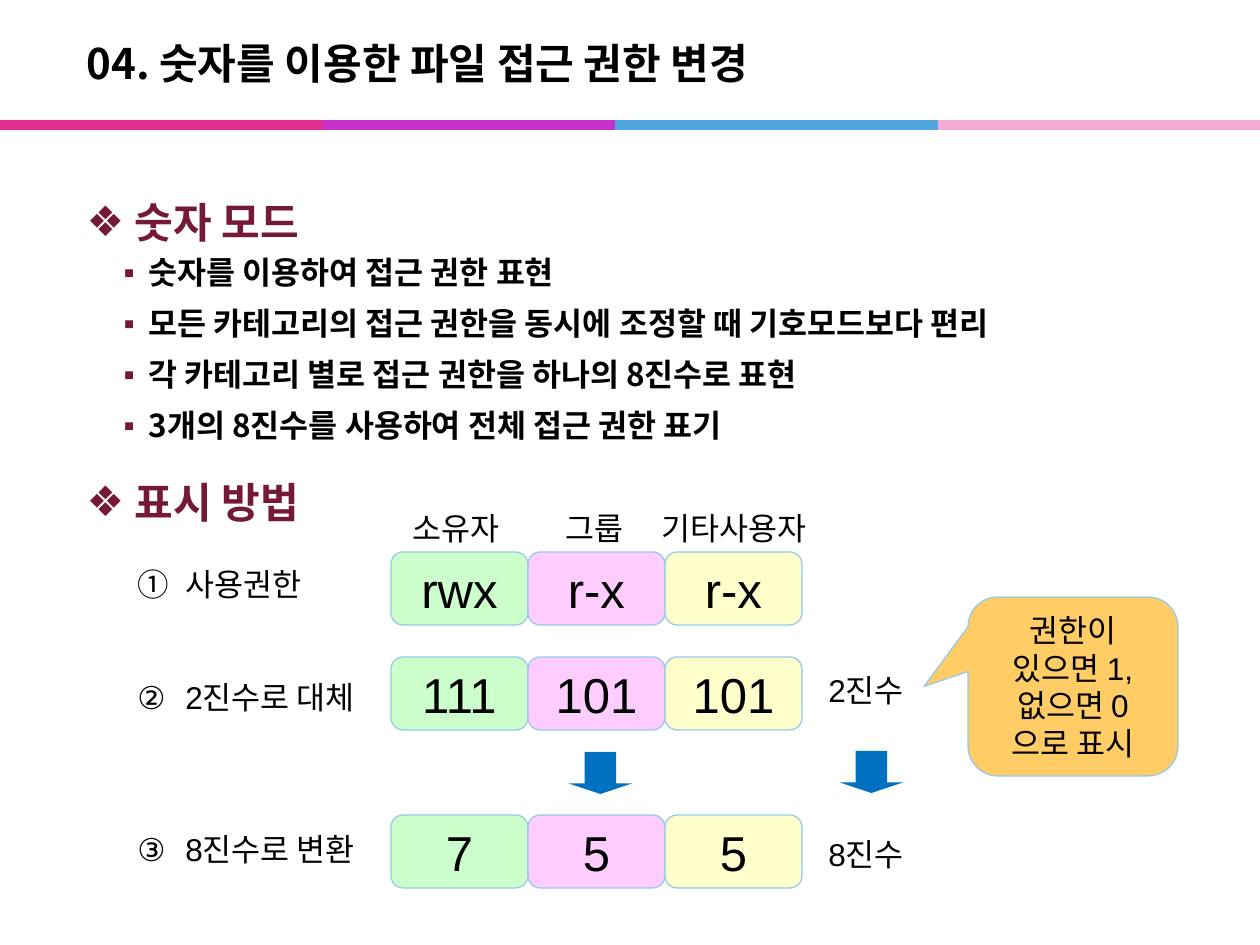
"""Builds a slide that explains numeric file permission modes."""
from lxml.etree import SubElement
from pptx import Presentation
from pptx.dml.color import RGBColor
from pptx.enum.shapes import MSO_CONNECTOR as Connector, MSO_SHAPE as Shape
from pptx.enum.text import MSO_ANCHOR as Anchor, MSO_AUTO_SIZE as AutoSize, PP_ALIGN as Align
from pptx.oxml.ns import qn
from pptx.util import Emu, Pt

SANS = "Arial"
KOREAN = "Noto Sans CJK KR"
BLACK = RGBColor(0x00, 0x00, 0x00)
WINE = RGBColor(0x74, 0x1A, 0x36)
GREEN = RGBColor(0xCC, 0xFF, 0xCC)
PINK = RGBColor(0xFF, 0xCC, 0xFF)
YELLOW = RGBColor(0xFF, 0xFF, 0xCC)
ORANGE = RGBColor(0xFF, 0xCC, 0x66)
BLUE = RGBColor(0x00, 0x70, 0xC0)
OUTLINE = RGBColor(0x95, 0xCA, 0xEA)
STRIPES = (
    RGBColor(0xE3, 0x2D, 0x91),
    RGBColor(0xC8, 0x30, 0xCC),
    RGBColor(0x4E, 0xA6, 0xDC),
    RGBColor(0xF4, 0xAB, 0xD3),
)
STRIPE_EDGES = (0, 323, 615, 938, 1260)

MODE_POINTS = (
    "숫자를 이용하여 접근 권한 표현",
    "모든 카테고리의 접근 권한을 동시에 조정할 때 기호모드보다 편리",
    "각 카테고리 별로 접근 권한을 하나의 8진수로 표현",
    "3개의 8진수를 사용하여 전체 접근 권한 표기",
)
CLASSES = (("소유자", 400, 121), ("그룹", 553, 90), ("기타사용자", 649, 184))
PERMISSIONS = (
    (552, ("rwx", "r-x", "r-x")),
    (657, ("111", "101", "101")),
    (815, ("7", "5", "5")),
)
STEPS = (("사용권한", 0), ("2진수로 대체", 43), ("8진수로 변환", 65))


def px(length):
    return Emu(round(length * 914400 / 126))


def box(*lengths):
    return [px(length) for length in lengths]


def write(paragraph, text, size=18, font=SANS, color=BLACK, bold=False,
          align=Align.LEFT, before=0, after=0, spacing=1.0):
    run = paragraph.add_run()
    run.text = text
    run.font.size = Pt(size)
    run.font.name = font
    run.font.bold = bold
    run.font.color.rgb = color
    paragraph.alignment = align
    paragraph.space_before = Pt(before)
    paragraph.space_after = Pt(after)
    paragraph.line_spacing = spacing


def next_paragraph(frame):
    first = frame.paragraphs[0]
    return frame.add_paragraph() if first.runs else first


def add_bullet(paragraph, indent, hanging, tag, color=None, **marker):
    properties = paragraph._p.get_or_add_pPr()
    properties.set("marL", str(px(indent)))
    properties.set("indent", str(-px(hanging)))
    if color is not None:
        fill = SubElement(properties, qn("a:buClr"))
        SubElement(fill, qn("a:srgbClr"), val=str(color))
    SubElement(properties, qn("a:buFont"), typeface=SANS)
    SubElement(properties, qn(tag), **marker)


def place(placeholder, *lengths):
    (placeholder.left, placeholder.top,
     placeholder.width, placeholder.height) = box(*lengths)
    frame = placeholder.text_frame
    frame.auto_size = AutoSize.NONE
    frame.word_wrap = True
    return frame


def add_title(slide):
    frame = place(slide.shapes.title, 74, 25, 1042, 76)
    frame.vertical_anchor = Anchor.MIDDLE
    write(frame.paragraphs[0], "04. 숫자를 이용한 파일 접근 권한 변경",
          size=24, font=KOREAN, bold=True)


def add_heading(frame, text):
    paragraph = next_paragraph(frame)
    add_bullet(paragraph, 48, 48, "a:buChar", WINE, char="❖")
    write(paragraph, text, size=24, color=WINE, bold=True, spacing=1.5)


def add_body(slide):
    frame = place(slide.placeholders[1], 74, 165, 1142, 745)
    frame.vertical_anchor = Anchor.TOP
    add_heading(frame, "숫자 모드")
    for point in MODE_POINTS:
        paragraph = next_paragraph(frame)
        paragraph.level = 1
        add_bullet(paragraph, 62, 25, "a:buChar", WINE, char="▪")
        write(paragraph, point, font=KOREAN, bold=True, before=3.6, after=4)
    add_heading(frame, "표시 방법")


def add_stripes(slide):
    for color, start, end in zip(STRIPES, STRIPE_EDGES, STRIPE_EDGES[1:]):
        stripe = slide.shapes.add_connector(
            Connector.STRAIGHT, *box(start, 125, end, 125))
        stripe.line.color.rgb = color
        stripe.line.width = Pt(6)
        SubElement(stripe._element.spPr, qn("a:effectLst"))


def add_label(slide, text, *lengths):
    frame = slide.shapes.add_textbox(*box(*lengths)).text_frame
    frame.word_wrap = True
    write(frame.paragraphs[0], text)


def add_panel(slide, kind, fill, lines, *lengths, size=18):
    panel = slide.shapes.add_shape(kind, *box(*lengths))
    panel.shadow.inherit = False
    panel.fill.solid()
    panel.fill.fore_color.rgb = fill
    panel.line.color.rgb = OUTLINE
    panel.line.width = Pt(0.75)
    frame = panel.text_frame
    frame.word_wrap = True
    frame.vertical_anchor = Anchor.MIDDLE
    for line in lines:
        write(next_paragraph(frame), line, size=size, align=Align.CENTER)
    return panel


def add_permissions(slide):
    for top, values in PERMISSIONS:
        for column, (value, fill) in enumerate(zip(values, (GREEN, PINK, YELLOW))):
            add_panel(slide, Shape.ROUNDED_RECTANGLE, fill, [value],
                      391 + 137 * column, top, 137, 73, size=28)


def add_callout(slide):
    callout = add_panel(
        slide, Shape.ROUNDED_RECTANGULAR_CALLOUT, ORANGE,
        ("권한이", "있으면 1,", "없으면 0", "으로 표시"), 968, 597, 210, 179)
    callout.adjustments[0] = -0.71
    callout.adjustments[1] = 0


def add_arrow(slide, left, top):
    arrow = slide.shapes.add_shape(Shape.DOWN_ARROW, *box(left, top, 63, 42))
    arrow.shadow.inherit = False
    arrow.adjustments[1] = 0.25
    arrow.fill.solid()
    arrow.fill.fore_color.rgb = BLUE
    arrow.line.fill.background()


def add_steps(slide):
    frame = slide.shapes.add_textbox(*box(125, 559, 261, 318)).text_frame
    frame.word_wrap = True
    for step, gap in STEPS:
        paragraph = next_paragraph(frame)
        add_bullet(paragraph, 48, 48, "a:buAutoNum", type="circleNumDbPlain")
        write(paragraph, step, before=gap)


def main():
    deck = Presentation()
    deck.slide_width, deck.slide_height = box(1260, 945)
    slide = deck.slides.add_slide(deck.slide_layouts[1])
    add_stripes(slide)
    add_title(slide)
    add_body(slide)
    add_permissions(slide)
    add_callout(slide)
    for name, left, width in CLASSES:
        add_label(slide, name, left, 503, width, 50)
    add_label(slide, "2진수", 816, 665, 107, 50)
    add_label(slide, "8진수", 816, 829, 107, 50)
    add_arrow(slide, 569, 752)
    add_arrow(slide, 840, 751)
    add_steps(slide)
    deck.save("out.pptx")


if __name__ == "__main__":
    main()
